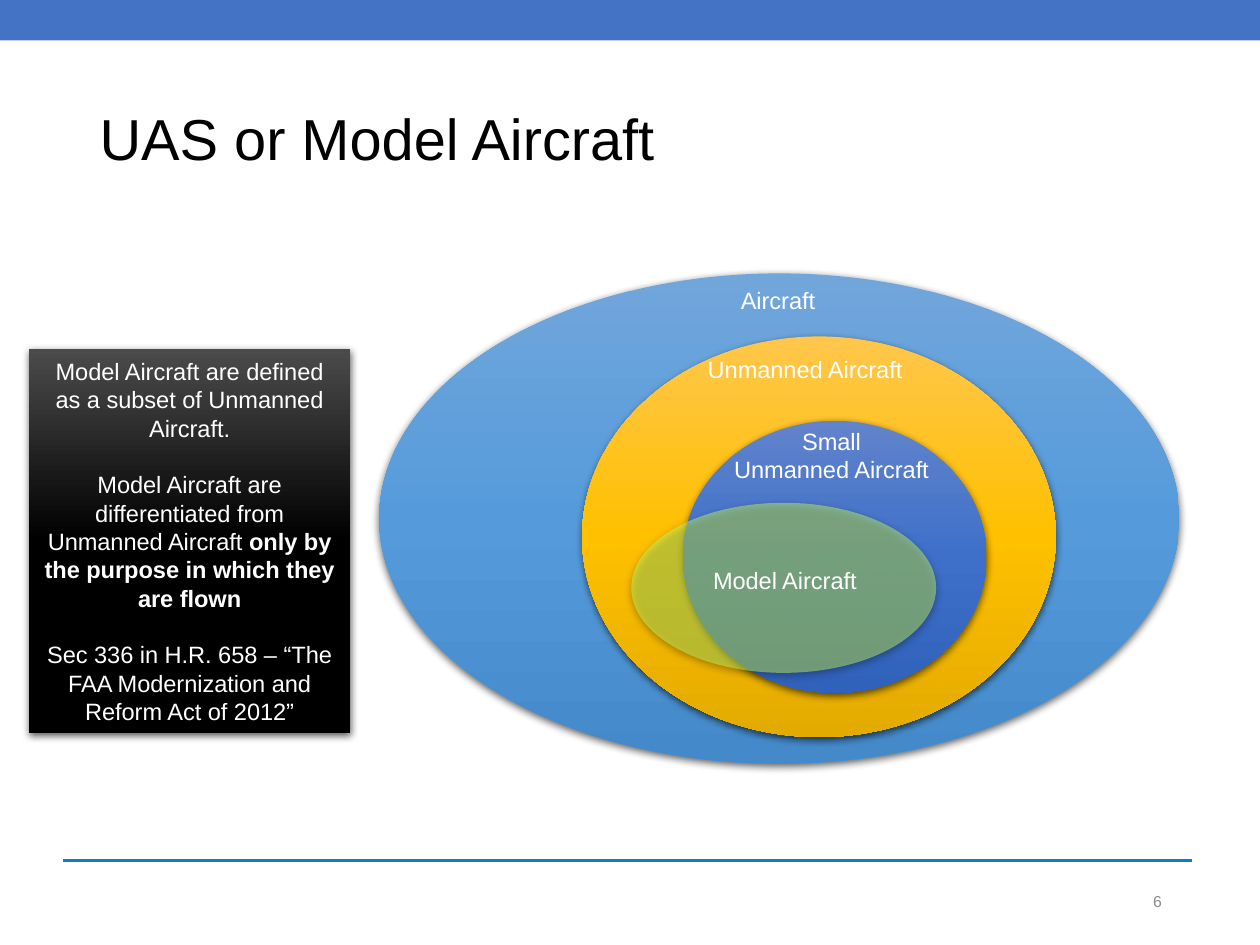
from copy import deepcopy

from lxml import etree
from pptx import Presentation
from pptx.dml.color import RGBColor
from pptx.enum.shapes import MSO_CONNECTOR, MSO_SHAPE
from pptx.enum.text import MSO_ANCHOR, PP_ALIGN
from pptx.oxml.ns import qn
from pptx.util import Pt

STRAIGHT = MSO_CONNECTOR.STRAIGHT
OVAL, RECTANGLE = MSO_SHAPE.OVAL, MSO_SHAPE.RECTANGLE
LEFT, CENTER, RIGHT = PP_ALIGN.LEFT, PP_ALIGN.CENTER, PP_ALIGN.RIGHT
TOP, MIDDLE = MSO_ANCHOR.TOP, MSO_ANCHOR.MIDDLE

BLACK = RGBColor(0x00, 0x00, 0x00)
WHITE = RGBColor(0xFF, 0xFF, 0xFF)
GRAY = RGBColor(0x8C, 0x8C, 0x8C)
BANNER_BLUE = RGBColor(0x44, 0x72, 0xC4)
RULE_BLUE = RGBColor(0x0F, 0x7F, 0xC5)
LIME = RGBColor(0xCC, 0xFF, 0x66)
SKY = (RGBColor(0x71, 0xA6, 0xDB), RGBColor(0x55, 0x9B, 0xDB), RGBColor(0x44, 0x8A, 0xCA))
AMBER = (RGBColor(0xFF, 0xC6, 0x4B), RGBColor(0xFF, 0xC0, 0x00), RGBColor(0xE3, 0xAB, 0x00))
ROYAL = (RGBColor(0x61, 0x83, 0xCB), RGBColor(0x3E, 0x70, 0xCA), RGBColor(0x30, 0x62, 0xBB))
CHARCOAL = (RGBColor(0x4B, 0x4B, 0x4B), BLACK, BLACK)

# Sets from the outermost inwards: ellipse, fill, label frame, label lines
NESTED_SETS = [
    ((216.72, 156.24, 457.2, 280.08), SKY, (388.08, 159.84, 113.04, 23.76), ["Aircraft"]),
    ((332.64, 192.24, 270.72, 228.96), AMBER, (388.08, 199.44, 144, 23.76),
     ["Unmanned Aircraft"]),
    ((390.24, 240.48, 173.52, 155.52), ROYAL, (403.2, 240.48, 144, 40.32),
     ["Small", "Unmanned Aircraft"]),
    ((360.72, 287.28, 174.24, 97.2), LIME, (376.56, 319.68, 144, 23.76), ["Model Aircraft"]),
]

# Each paragraph is a list of (text, bold) spans
DEFINITION = [
    [("Model Aircraft are defined as a subset of Unmanned Aircraft.", False)],
    [("Model Aircraft are differentiated from Unmanned Aircraft ", False),
     ("only by the purpose in which they are flown", True)],
    [("Sec 336 in H.R. 658 – “The FAA Modernization and Reform Act of 2012”", False)],
]


def add_child(parent, tag, **attributes):
    return etree.SubElement(parent, qn(tag), attributes)


class SlideBuilder:
    font = "Arial"
    body_size = 13.5
    line_height = 16.2

    def __init__(self, slide):
        self.slide = slide

    def style(self, para, size, color, align):
        para.alignment = align
        para.font.name = self.font
        para.font.size = Pt(size)
        para.font.color.rgb = color

    def title(self, frame, text):
        title = self.slide.shapes.title
        title.left, title.top, title.width, title.height = map(Pt, frame)
        title.text_frame.text = text
        title.text_frame.vertical_anchor = MIDDLE
        para = title.text_frame.paragraphs[0]
        para.line_spacing = 0.9
        self.style(para, 33, BLACK, LEFT)

    def text(self, frame, lines, size=body_size, color=WHITE, align=CENTER, anchor=TOP):
        box = self.slide.shapes.add_textbox(*map(Pt, frame))
        box.text_frame.word_wrap = True
        box.text_frame.vertical_anchor = anchor
        box.text_frame.text = "\n".join(lines)
        for para in box.text_frame.paragraphs:
            self.style(para, size, color, align)

    def rule(self, left, right, y):
        line = self.slide.shapes.add_connector(STRAIGHT, Pt(left), Pt(y), Pt(right), Pt(y))
        line.line.color.rgb = RULE_BLUE
        line.line.width = Pt(1.5)
        add_child(line.element.spPr, "a:effectLst")

    def shape(self, kind, frame, color):
        """Add a shape filled with one colour, or with a gradient of three."""
        shape = self.slide.shapes.add_shape(kind, *map(Pt, frame))
        shape.shadow.inherit = False
        shape.line.fill.background()
        if isinstance(color, RGBColor):
            shape.fill.solid()
            shape.fill.fore_color.rgb = color
        else:
            self.fill_gradient(shape, color)
        return shape

    def fill_gradient(self, shape, colors):
        """Fill from top to bottom with three evenly spaced colours."""
        shape.fill.gradient()
        shape.fill.gradient_angle = 270
        stop_list = shape.element.spPr.find(".//" + qn("a:gsLst"))
        stop_list.insert(1, deepcopy(stop_list[0]))
        for stop, color, position in zip(shape.fill.gradient_stops, colors, (0, 0.5, 1)):
            stop.color.rgb = color
            stop.position = position

    def raised_shape(self, kind, frame, color):
        """Add a shape that casts a soft shadow downwards."""
        shape = self.shape(kind, frame, color)
        effects = shape.element.spPr.find(qn("a:effectLst"))
        shadow = add_child(effects, "a:outerShdw", blurRad=str(Pt(4.5)), dist=str(Pt(1.5)),
                           dir="5400000", algn="ctr", rotWithShape="0")
        shadow_color = add_child(shadow, "a:srgbClr", val=str(BLACK))
        add_child(shadow_color, "a:alpha", val="63000")
        return shape

    def set_opacity(self, shape, percent):
        color = shape.element.spPr.find(qn("a:solidFill"))[0]
        add_child(color, "a:alpha", val=str(percent * 1000))

    def panel(self, frame, paragraphs):
        text_frame = self.raised_shape(RECTANGLE, frame, CHARCOAL).text_frame
        text_frame.word_wrap = True
        text_frame.vertical_anchor = MIDDLE
        for index, spans in enumerate(paragraphs):
            para = text_frame.add_paragraph() if index else text_frame.paragraphs[0]
            self.style(para, self.body_size, WHITE, CENTER)
            if index:
                para.space_before = Pt(self.line_height)
            for text, bold in spans:
                span = para.add_run()
                span.text = text
                span.font.bold = bold


def main():
    deck = Presentation()
    deck.slide_width, deck.slide_height = Pt(720), Pt(540)
    page = SlideBuilder(deck.slides.add_slide(deck.slide_layouts.get_by_name("Title Only")))

    page.rule(36, 681.12, 491.76)
    page.shape(RECTANGLE, (0, 0, 720, 23.04), BANNER_BLUE)
    page.title((49.68, 28.8, 620.64, 104.4), "UAS or Model Aircraft")
    page.text((637.92, 500.4, 33.12, 28.8), ["6"], 9, GRAY, RIGHT, MIDDLE)

    for frame, color, label_frame, label in NESTED_SETS:
        ellipse = page.raised_shape(OVAL, frame, color)
        if color == LIME:
            page.set_opacity(ellipse, 46)
        page.text(label_frame, label)

    page.panel((16.56, 199.44, 183.6, 219.6), DEFINITION)
    deck.save("out.pptx")


if __name__ == "__main__":
    main()
